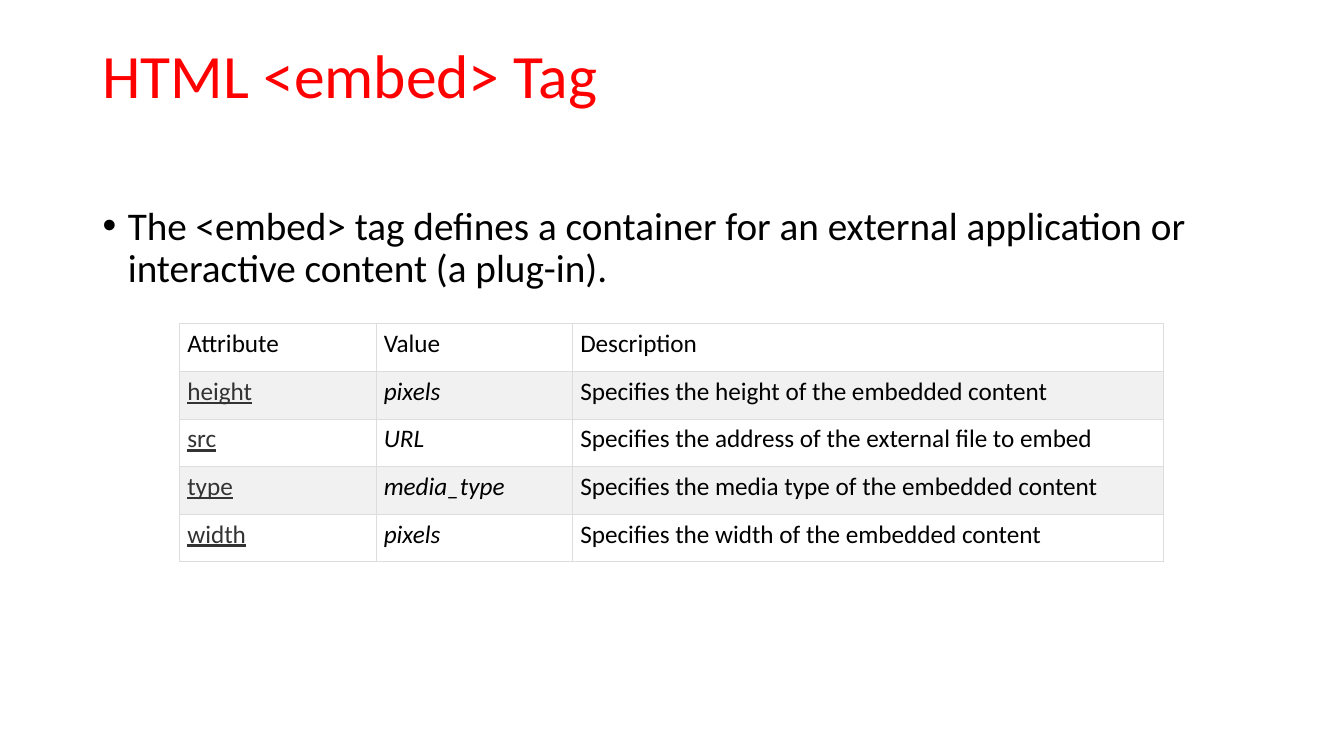
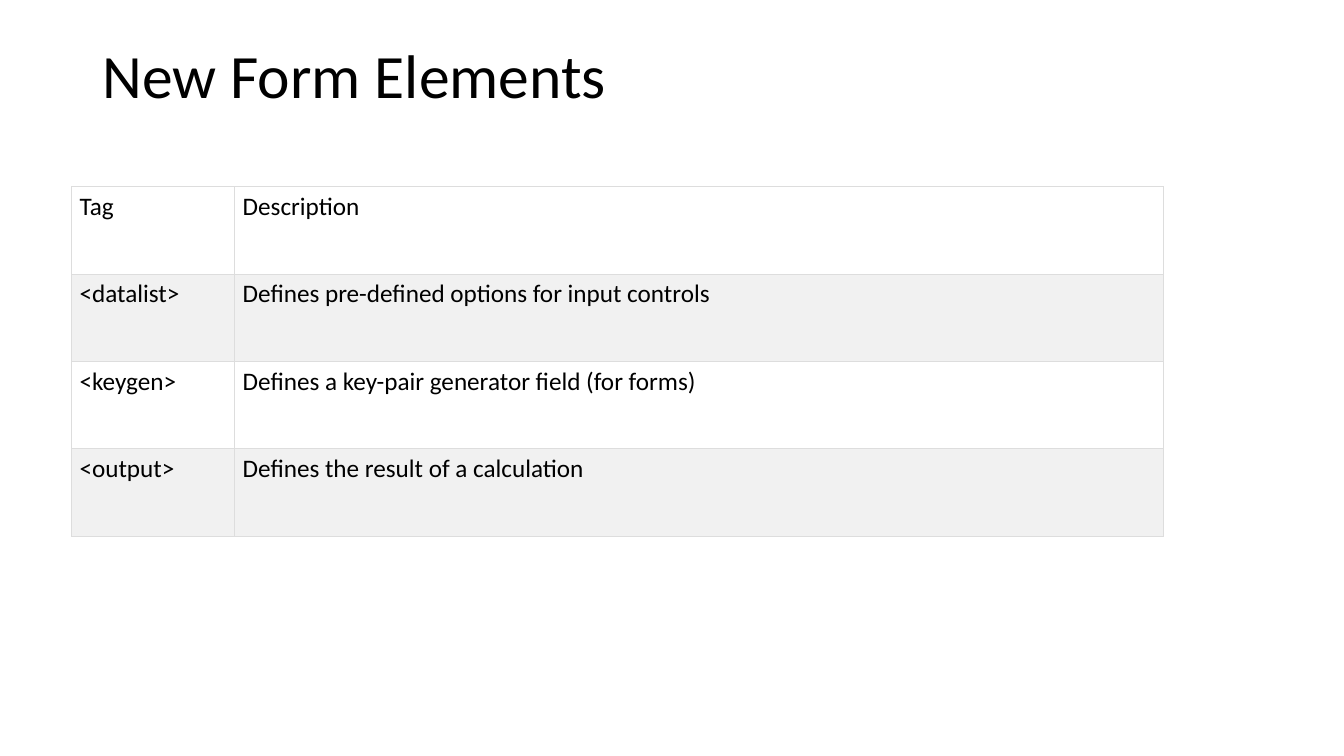
"""Build two slides on HTML tags, each with a title and a bordered table."""
from lxml.etree import SubElement
from pptx import Presentation
from pptx.dml.color import RGBColor
from pptx.oxml.ns import qn
from pptx.util import Inches, Pt

WIDE, HIGH = 13.34, 7.5
FONT = "Calibri"
BLACK = RGBColor(0x00, 0x00, 0x00)
RED = RGBColor(0xFF, 0x00, 0x00)
GREY = RGBColor(0x33, 0x33, 0x33)
WHITE = RGBColor(0xFF, 0xFF, 0xFF)
BAND = RGBColor(0xF1, 0xF1, 0xF1)
RULE = RGBColor(0xDD, 0xDD, 0xDD)

TAGS = [
    ("Attribute", "Value", "Description"),
    ("height", "pixels", "Specifies the height of the embedded content"),
    ("src", "URL", "Specifies the address of the external file to embed"),
    ("type", "media_type", "Specifies the media type of the embedded content"),
    ("width", "pixels", "Specifies the width of the embedded content"),
]
FORMS = [
    ("Tag", "Description"),
    ("<datalist>", "Defines pre-defined options for input controls"),
    ("<keygen>", "Defines a key-pair generator field (for forms)"),
    ("<output>", "Defines the result of a calculation"),
]


def across(share):
    """Return a percentage of the slide's width."""
    return Inches(WIDE * share / 100)


def down(share):
    """Return a percentage of the slide's height."""
    return Inches(HIGH * share / 100)


def style(para, size, color):
    """Set font, size and colour on a paragraph's runs."""
    for run in para.runs:
        run.font.name = FONT
        run.font.size = Pt(size)
        run.font.color.rgb = color


def add_text(slide, top, height, text, size, color):
    """Add a text box in the main column and return its paragraph."""
    box = slide.shapes.add_textbox(across(6.9), down(top), across(86.2), down(height))
    frame = box.text_frame
    frame.word_wrap = True
    frame.text = text
    para = frame.paragraphs[0]
    para.line_spacing = 0.9
    style(para, size, color)
    return para


def add_title(slide, text, color=BLACK):
    """Add the slide title."""
    add_text(slide, 5.33, 19.33, text, 44, color)


def add_bullet(slide, text):
    """Add the bulleted body text."""
    para = add_text(slide, 26.67, 63.47, text, 28, BLACK)
    para.space_before = Pt(10)
    props = para._p.get_or_add_pPr()
    props.set("marL", str(Inches(0.25)))
    props.set("indent", str(Inches(-0.25)))
    SubElement(props, qn("a:buFont"), typeface="Arial")
    SubElement(props, qn("a:buChar"), char="•")


def add_edges(cell):
    """Draw a thin line on all four sides of a cell."""
    props = cell._tc.get_or_add_tcPr()
    for side in ("a:lnL", "a:lnR", "a:lnT", "a:lnB"):
        line = SubElement(props, qn(side), w=str(Pt(0.34)))
        fill = SubElement(line, qn("a:solidFill"))
        SubElement(fill, qn("a:srgbClr"), val=str(RULE))


def fill_cell(cell, text, back):
    """Write and format one table cell and return its paragraph."""
    cell.margin_left = cell.margin_right = Inches(0.08)
    cell.margin_top = cell.margin_bottom = Inches(0.05)
    add_edges(cell)
    cell.fill.solid()
    cell.fill.fore_color.rgb = back
    cell.text_frame.text = text
    para = cell.text_frame.paragraphs[0]
    style(para, 18, BLACK)
    return para


def add_grid(slide, left, top, cols, step, data):
    """Add a banded table with equal rows and return it."""
    shape = slide.shapes.add_table(
        len(data), len(cols), across(left), down(top),
        across(sum(cols)), down(step * len(data)))
    table = shape.table
    table.first_row = table.horz_banding = False
    for col, share in zip(table.columns, cols):
        col.width = across(share)
    for row, texts in enumerate(data):
        table.rows[row].height = down(step)
        for col, text in enumerate(texts):
            fill_cell(table.cell(row, col), text, BAND if row % 2 else WHITE)
    return table


def mark_terms(table):
    """Underline the attribute names and slant their values."""
    for row in range(1, len(table.rows)):
        name, value = (table.cell(row, col).text_frame.paragraphs[0].runs[0].font
                       for col in (0, 1))
        name.underline = True
        name.color.rgb = GREY
        value.italic = True


def main():
    """Build and save the deck."""
    deck = Presentation()
    deck.slide_width, deck.slide_height = Inches(WIDE), Inches(HIGH)
    blank = deck.slide_layouts[6]

    embed = deck.slides.add_slide(blank)
    add_title(embed, "HTML <embed> Tag", RED)
    add_bullet(embed, "The <embed> tag defines a container for an external "
                      "application or interactive content (a plug-in).")
    mark_terms(add_grid(embed, 13.34, 42.8, (14.62, 14.62, 44), 6.3, TAGS))

    form = deck.slides.add_slide(blank)
    add_title(form, "New Form Elements")
    add_grid(form, 5.32, 24.67, (12.14, 69.12), 11.55, FORMS)

    deck.save("out.pptx")


if __name__ == "__main__":
    main()
